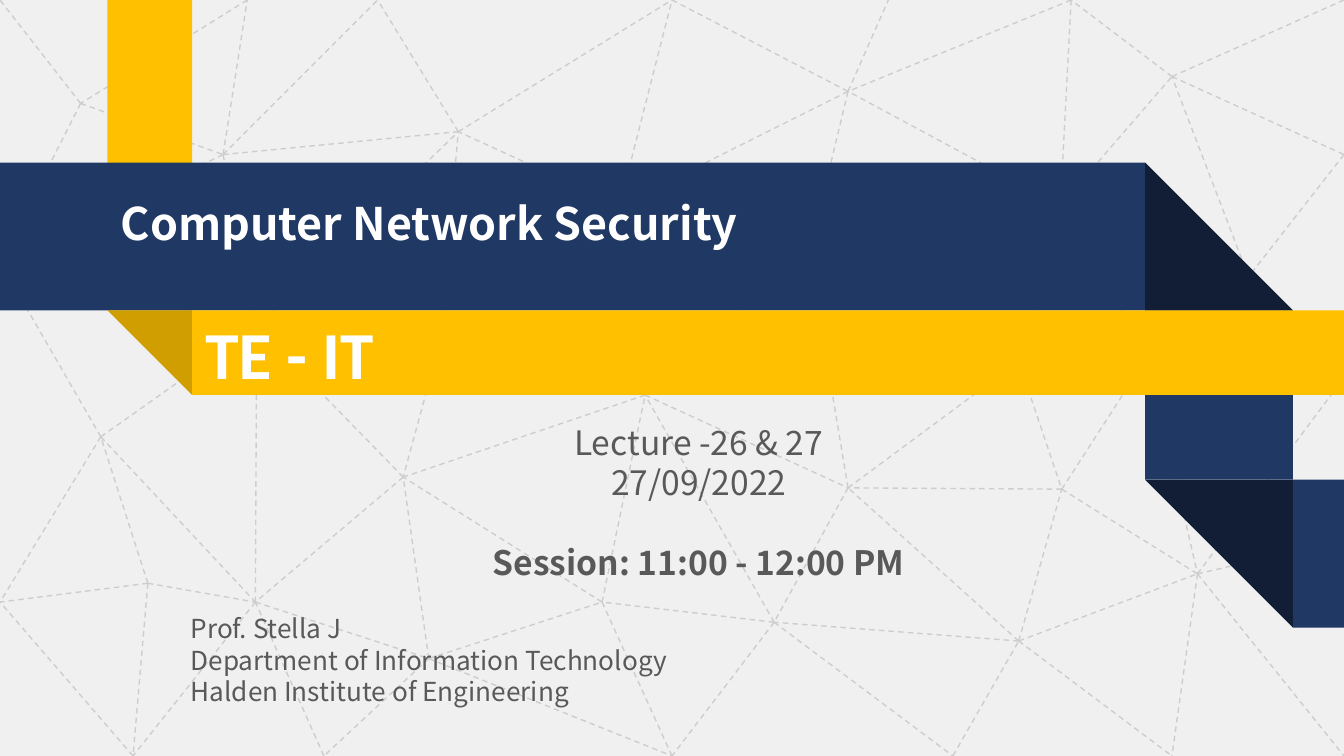
import pptx
import pptx.util
import pptx.dml.color
import pptx.enum.dml
import pptx.enum.shapes
import pptx.enum.text
import pptx.oxml

Inches, Pt = pptx.util.Inches, pptx.util.Pt
RGBColor = pptx.dml.color.RGBColor
MSO_SHAPE = pptx.enum.shapes.MSO_SHAPE
PP_ALIGN = pptx.enum.text.PP_ALIGN

PAPER = RGBColor(0xF0, 0xF0, 0xF0)
MESH = RGBColor(0xCD, 0xCD, 0xCD)
NAVY = RGBColor(0x20, 0x38, 0x64)
NAVY_FOLD = RGBColor(0x11, 0x1E, 0x35)
GOLD = RGBColor(0xFF, 0xC0, 0x00)
GOLD_FOLD = RGBColor(0xD0, 0x9E, 0x00)
WHITE = RGBColor(0xFF, 0xFF, 0xFF)
GRAY = RGBColor(0x59, 0x59, 0x59)
BODY_FONT = "Noto Sans CJK SC"

WIDTH = 10
HEIGHT = WIDTH * 9 / 16

MESH_NODES = {
    "a": (1.66, 1.15), "b": (1.84, 0), "c": (0, 1.95), "d": (2.81, 0),
    "e": (3.41, 0.98), "f": (1.91, 2.43), "g": (3.27, 2.56), "h": (3, 3.55),
    "i": (1.9, 4.48), "j": (0.75, 3.25), "k": (0, 4.48), "l": (1.1, 4.34),
    "m": (0.99, HEIGHT), "n": (3.19, 4.9), "o": (2.41, HEIGHT),
    "p": (4.48, 4.48), "q": (5, HEIGHT), "r": (4.8, 2.94), "s": (4.61, 1.53),
    "t": (5, 0), "u": (6.31, 0.68), "v": (6.02, 1.89), "w": (6.31, 3.63),
    "x": (5.76, 4.63), "y": (6.61, 0), "z": (7.89, 1.53), "A": (7.58, 2.69),
    "B": (7.9, 3.64), "C": (7.58, 4.77), "D": (7.09, HEIGHT),
    "E": (8.72, HEIGHT), "F": (8.54, 2.65), "G": (8.72, 0.57), "H": (7.97, 0),
    "I": (WIDTH, 0), "J": (WIDTH, 1.15), "K": (9.29, 2.06), "L": (WIDTH, 2.81),
    "M": (8.91, 4.27), "N": (WIDTH, HEIGHT), "O": (WIDTH, 4.02),
    "P": (0.6, 0.77), "Q": (0, 0),
}
# Each node is joined to every node named in its string.
MESH_LINKS = {
    "a": "bcdef", "e": "dt", "f": "ce", "g": "ehrs", "h": "fi", "i": "fmn",
    "j": "cfik", "l": "ijkm", "m": "k", "n": "hopq", "o": "i", "p": "hqr",
    "r": "hw", "s": "ert", "t": "u", "u": "svy", "v": "r", "w": "vxA",
    "x": "pqrD", "z": "uG", "A": "vzB", "B": "wFM", "C": "wxBEM", "D": "C",
    "F": "zLM", "G": "HIJ", "H": "uz", "J": "K", "K": "zFGL", "M": "LNEO",
    "b": "P", "P": "acQ",
}

# Ribbon edges shared by the bands and their folds
NAVY_TOP, GOLD_TOP, NAVY_BAND, GOLD_BAND = 1.21, 2.31, 1.10, 0.63
GOLD_LEFT, NAVY_RIGHT = 0.8, 8.52
LOWER_TOP = 3.57
TAIL_LEFT = NAVY_RIGHT + NAVY_BAND
GOLD_START = GOLD_LEFT + GOLD_BAND

BANDS = [  # left, top, width, height, colour
    (NAVY_RIGHT, GOLD_TOP, NAVY_BAND, LOWER_TOP - GOLD_TOP, NAVY),
    (TAIL_LEFT, LOWER_TOP, WIDTH - TAIL_LEFT, NAVY_BAND, NAVY),
    (GOLD_LEFT, 0, GOLD_BAND, GOLD_TOP, GOLD),
    (0, NAVY_TOP, NAVY_RIGHT, NAVY_BAND, NAVY),
]
GOLD_RIBBON = (GOLD_START, GOLD_TOP, WIDTH - GOLD_START, GOLD_BAND, GOLD)
FOLDS = [  # left, top, side, colour, rotation
    (NAVY_RIGHT, LOWER_TOP, NAVY_BAND, NAVY_FOLD, 180),
    (NAVY_RIGHT, NAVY_TOP, NAVY_BAND, NAVY_FOLD, 0),
    (GOLD_LEFT, GOLD_TOP, GOLD_BAND, GOLD_FOLD, 180),
]

# Lines are (text, bold, space before in points)
TEXTS = [
    dict(at=(0.8, 1.41, 6.19, 0.5), size=24, leading=28.5, color=WHITE,
         align=PP_ALIGN.LEFT,
         lines=[("Computer Network Security", True, 0)]),
    dict(at=(1.32, 4.51, 4.06, 0.81), size=14, leading=16.8, color=GRAY,
         align=PP_ALIGN.LEFT,
         lines=[("Prof. Stella J", False, 0),
                ("Department of Information Technology", False, 0),
                ("Halden Institute of Engineering", False, 0)]),
    dict(at=(3.23, 3.09, 3.94, 1.31), size=18, leading=21.5, color=GRAY,
         align=PP_ALIGN.CENTER,
         lines=[("Lecture -26 & 27", False, 0),
                ("27/09/2022", False, 0),
                ("Session: 11:00 - 12:00 PM", True, 21.5)]),
]


def add_span(para, text, size, color, bold, font):
    span = para.add_run()
    span.text = text
    span.font.size = Pt(size)
    span.font.bold = bold
    span.font.name = font
    span.font.color.rgb = color


def add_flat_shape(page, kind, left, top, width, height, color):
    shape = page.shapes.add_shape(
        kind, Inches(left), Inches(top), Inches(width), Inches(height))
    shape.shadow.inherit = False
    shape.fill.solid()
    shape.fill.fore_color.rgb = color
    shape.line.fill.background()
    return shape


def add_mesh(page):
    for start, ends in MESH_LINKS.items():
        for end in ends:
            points = MESH_NODES[start] + MESH_NODES[end]
            link = page.shapes.add_connector(
                pptx.enum.shapes.MSO_CONNECTOR.STRAIGHT, *map(Inches, points))
            link.line.color.rgb = MESH
            link.line.width = Pt(0.75)
            link.line.dash_style = pptx.enum.dml.MSO_LINE.DASH
            link._element.spPr.append(pptx.oxml.parse_xml(
                '<a:effectLst xmlns:a='
                '"http://schemas.openxmlformats.org/drawingml/2006/main"/>'))


def add_ribbons(page):
    for band in BANDS:
        add_flat_shape(page, MSO_SHAPE.RECTANGLE, *band)
    for left, top, side, color, rotation in FOLDS:
        fold = add_flat_shape(
            page, MSO_SHAPE.RIGHT_TRIANGLE, left, top, side, side, color)
        fold.rotation = rotation
    ribbon = add_flat_shape(page, MSO_SHAPE.RECTANGLE, *GOLD_RIBBON)
    frame = ribbon.text_frame
    frame.vertical_anchor = pptx.enum.text.MSO_ANCHOR.MIDDLE
    para = frame.paragraphs[0]
    para.alignment = PP_ALIGN.LEFT
    add_span(para, "TE - IT", 36, WHITE, True, "Calibri")


def add_text(page, at, size, leading, color, align, lines):
    box = page.shapes.add_textbox(*map(Inches, at))
    frame = box.text_frame
    frame.word_wrap = True
    for index, (text, bold, space) in enumerate(lines):
        para = frame.add_paragraph() if index else frame.paragraphs[0]
        para.alignment = align
        para.line_spacing = Pt(leading)
        para.space_before = Pt(space)
        add_span(para, text, size, color, bold, BODY_FONT)


def main():
    deck = pptx.Presentation()
    deck.slide_width, deck.slide_height = Inches(WIDTH), Inches(HEIGHT)
    page = deck.slides.add_slide(deck.slide_layouts[6])
    page.background.fill.solid()
    page.background.fill.fore_color.rgb = PAPER
    add_mesh(page)
    add_ribbons(page)
    for text in TEXTS:
        add_text(page, **text)
    deck.save("out.pptx")


if __name__ == "__main__":
    main()
